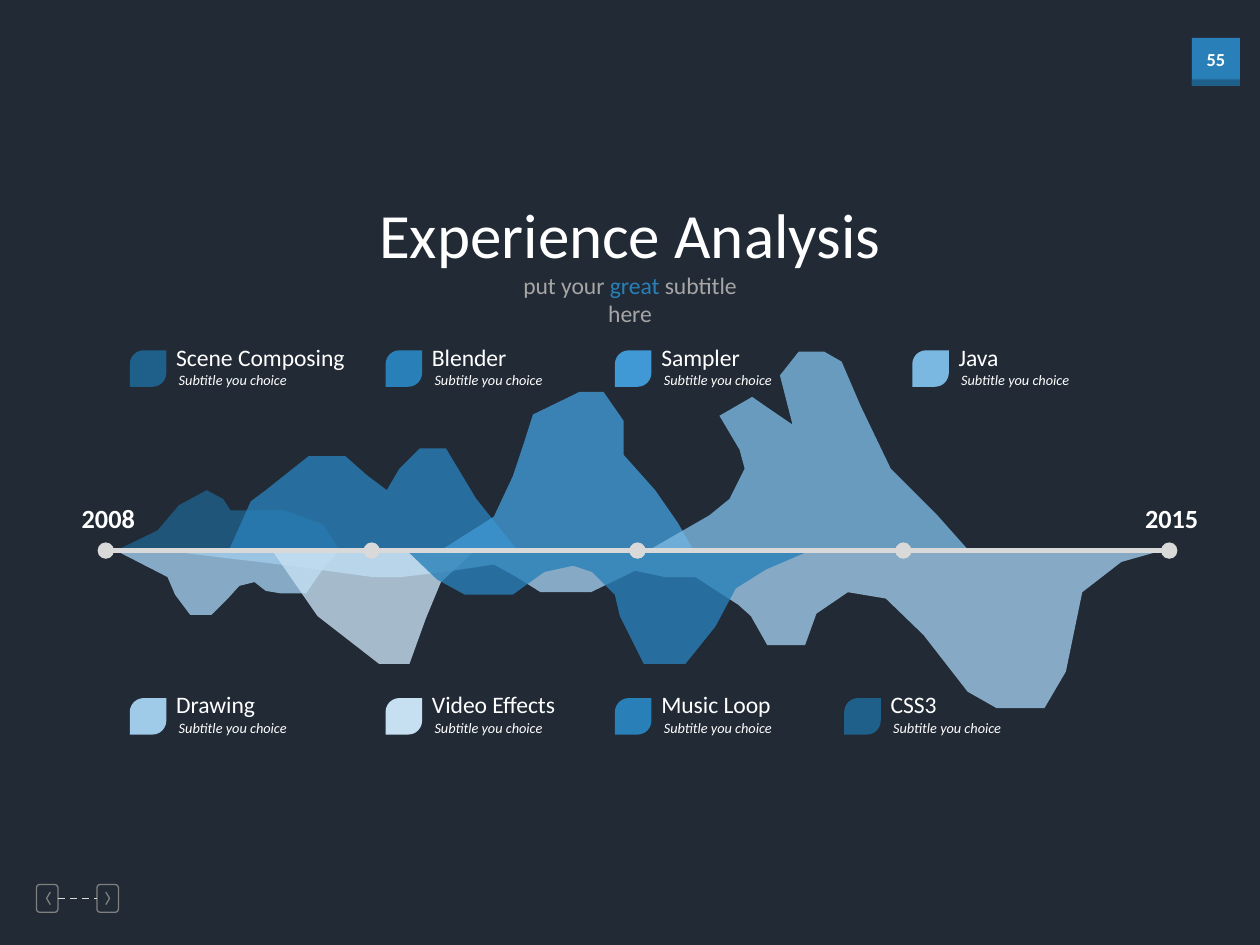
from lxml import etree
from pptx import Presentation
from pptx import util as u
from pptx.dml.color import RGBColor
from pptx.enum import dml, shapes, text
from pptx.oxml.ns import qn

COLORS = {
    "background": "222A35", "navy": "1F608B", "blue": "2980B9",
    "azure": "4098D4", "sky": "7BB8E1", "pale": "9FCBE9", "ice": "C6E0F2",
    "white": "FFFFFF", "silver": "D9D9D9", "muted": "A6A6A6", "gray": "808080",
}
Inches = u.Inches


def paint(shape, color, alpha=None):
    """Flat fill with no outline or shadow, optionally see-through."""
    shape.shadow.inherit = False
    shape.fill.solid()
    shape.fill.fore_color.rgb = RGBColor.from_string(COLORS[color])
    shape.line.fill.background()
    if alpha:
        rgb = shape._element.spPr.find(qn("a:solidFill")).find(qn("a:srgbClr"))
        etree.SubElement(rgb, qn("a:alpha")).set("val", str(alpha * 1000))


def write(box, place, spans, align="LEFT", **font_format):
    """Place a box and fill its one paragraph with (wording, color) spans."""
    box.left, box.top, box.width, box.height = map(Inches, place)
    frame = box.text_frame
    frame.word_wrap = True
    frame.auto_size = text.MSO_AUTO_SIZE.NONE
    frame.vertical_anchor = text.MSO_ANCHOR.TOP
    para = frame.paragraphs[0]
    para.alignment = getattr(text.PP_ALIGN, align)
    para.space_before = u.Pt(0)
    for wording, color in spans:
        span = para.add_run()
        span.text = wording
        span.font.color.rgb = RGBColor.from_string(COLORS[color])
        for name, value in {"name": "Calibri", **font_format}.items():
            setattr(span.font, name, value)


deck = Presentation()
deck.slide_width, deck.slide_height = Inches(10), Inches(7.5)
page = deck.slides.add_slide(deck.slide_layouts[0])
page.background.fill.solid()
page.background.fill.fore_color.rgb = RGBColor.from_string(COLORS["background"])
items = page.shapes

# Title and subtitle
write(page.placeholders[1], (3.9, 2.1, 2.2, 0.33),
      [("put your ", "muted"), ("great", "blue"), (" subtitle here", "muted")],
      "CENTER", size=u.Pt(13.5))
write(items.title, (2.8, 1.5, 4.4, 0.71), [("Experience Analysis", "white")],
      "CENTER", size=u.Pt(36))

# Page number badge
for top, height, color in [(0.3, 0.38, "blue"), (0.63, 0.05, "navy")]:
    badge = items.add_shape(shapes.MSO_SHAPE.RECTANGLE, Inches(9.46), Inches(top),
                            Inches(0.38), Inches(height))
    paint(badge, color)
write(items.add_textbox(0, 0, 0, 0), (9.46, 0.33, 0.38, 0.28), [("55", "white")],
      "CENTER", size=u.Pt(10.5), bold=True)

# Previous and next buttons
connectors = []
buttons = []
for left, base, tip in [(0.29, 0.4, 0.37), (0.77, 0.84, 0.87)]:
    button = items.add_shape(shapes.MSO_SHAPE.ROUNDED_RECTANGLE, Inches(left),
                             Inches(7.02), Inches(0.17), Inches(0.22))
    button.adjustments[0] = 0.15
    builder = items.build_freeform(Inches(base), Inches(7.08))
    builder.add_line_segments([(Inches(tip), Inches(7.13)),
                               (Inches(base), Inches(7.18))], close=False)
    for outline in (button, builder.convert_to_shape()):
        outline.shadow.inherit = False
        outline.fill.background()
        outline.line.color.rgb = RGBColor.from_string(COLORS["gray"])
        outline.line.width = u.Pt(0.75)
    buttons.append(button)
link = items.add_connector(shapes.MSO_CONNECTOR.STRAIGHT, 0, 0, 0, 0)
link.begin_connect(buttons[0], 3)
link.end_connect(buttons[1], 1)
link.line.dash_style = dml.MSO_LINE.DASH
connectors.append((link, 1))

# Experience areas below and above the timeline
areas = [
    ("pale", [(1.31, 4.37), (2.3, 4.49), (2.96, 4.58), (3.19, 4.58), (3.59, 4.53),
              (3.92, 4.48), (4.1, 4.58), (4.29, 4.7), (4.69, 4.7), (5.04, 4.53),
              (5.28, 4.58), (5.52, 4.58), (5.86, 4.8), (5.96, 4.89), (6.09, 5.12),
              (6.39, 5.12), (6.48, 4.87), (6.73, 4.7), (7.03, 4.75), (7.33, 5.04),
              (7.68, 5.49), (7.91, 5.62), (8.29, 5.62), (8.46, 5.33), (8.59, 4.7),
              (8.9, 4.46), (9.22, 4.37)]),
    ("pale", [(0.94, 4.38), (1.33, 4.58), (1.39, 4.72), (1.51, 4.88), (1.68, 4.88),
              (1.8, 4.76), (1.9, 4.65), (2.02, 4.62), (2.11, 4.69), (2.23, 4.71),
              (2.43, 4.71), (2.58, 4.49), (2.7, 4.37)]),
    ("ice", [(2.16, 4.37), (2.52, 4.89), (3.01, 5.27), (3.25, 5.27), (3.38, 4.91),
             (3.5, 4.62), (3.77, 4.37)]),
    ("blue", [(3.23, 4.37), (3.47, 4.6), (3.69, 4.72), (4.07, 4.72), (4.32, 4.54),
              (4.55, 4.49), (4.7, 4.54), (4.88, 4.72), (4.92, 4.89), (5.11, 5.27),
              (5.44, 5.27), (5.68, 4.97), (5.84, 4.67), (6.08, 4.52), (6.43, 4.37)]),
    ("navy", [(0.94, 4.36), (1.25, 4.21), (1.42, 4.01), (1.64, 3.89), (1.77, 3.96),
              (1.83, 4.05), (2.25, 4.05), (2.56, 4.16), (2.69, 4.36)]),
    ("blue", [(1.82, 4.36), (1.99, 3.98), (2.11, 3.89), (2.45, 3.62), (2.74, 3.62),
              (2.91, 3.77), (3.07, 3.89), (3.17, 3.72), (3.33, 3.56), (3.54, 3.56),
              (3.78, 3.96), (4.1, 4.36)]),
    ("azure", [(3.51, 4.36), (3.92, 4.1), (4.07, 3.78), (4.16, 3.51), (4.23, 3.29),
               (4.6, 3.11), (4.79, 3.11), (4.95, 3.34), (4.95, 3.61), (5.2, 3.89),
               (5.38, 4.15), (5.5, 4.36)]),
    ("sky", [(5.16, 4.36), (5.63, 4.09), (5.79, 3.96), (5.91, 3.72), (5.87, 3.57),
             (5.71, 3.3), (5.97, 3.15), (6.07, 3.22), (6.29, 3.37), (6.19, 2.98),
             (6.34, 2.79), (6.54, 2.79), (6.68, 2.87), (6.83, 3.22), (7.07, 3.72),
             (7.44, 4.09), (7.68, 4.36)]),
]
for color, points in areas:
    start, *rest = [(Inches(x), Inches(y)) for x, y in points]
    builder = items.build_freeform(*start)
    builder.add_line_segments(rest)
    paint(builder.convert_to_shape(), color, alpha=80)

# Timeline
DOT, STEP, FIRST, AXIS = 0.13, 2.11, 0.84, 4.37
for index in range(5):
    center = FIRST + index * STEP
    if index < 4:
        segment = items.add_connector(shapes.MSO_CONNECTOR.STRAIGHT, Inches(center),
                                      Inches(AXIS), Inches(center + STEP), Inches(AXIS))
        connectors.append((segment, 3))
    dot = items.add_shape(shapes.MSO_SHAPE.OVAL, Inches(center - DOT / 2),
                          Inches(AXIS - DOT / 2), Inches(DOT), Inches(DOT))
    paint(dot, "silver")
for connector, weight in connectors:
    connector.line.color.rgb = RGBColor.from_string(COLORS["silver"])
    connector.line.width = u.Pt(weight)
    etree.SubElement(connector._element.spPr, qn("a:effectLst"))
for left, year in [(0.55, "2008"), (8.99, "2015")]:
    write(items.add_textbox(0, 0, 0, 0), (left, 3.94, 0.68, 0.35), [(year, "white")],
          size=u.Pt(15), bold=True)

# Legend
legend = [
    (2.78, [(1.03, "Scene Composing", 1.56, "navy"), (3.06, "Blender", 0.81, "blue"),
            (4.88, "Sampler", 0.81, "azure"), (7.24, "Java", 0.52, "sky")]),
    (5.54, [(1.03, "Drawing", 0.95, "pale"), (3.06, "Video Effects", 1.14, "ice"),
            (4.88, "Music Loop", 1.07, "blue"), (6.7, "CSS3", 0.58, "navy")]),
]
for top, entries in legend:
    for left, skill, width, color in entries:
        leaf = items.add_shape(shapes.MSO_SHAPE.ROUND_2_DIAG_RECTANGLE, Inches(left),
                               Inches(top), Inches(0.29), Inches(0.29))
        leaf.adjustments[0] = 0.38
        paint(leaf, color)
        write(items.add_textbox(0, 0, 0, 0),
              (left + 0.27, top - 0.11, width + 0.05, 0.33),
              [(skill, "white")], size=u.Pt(13.5))
        write(items.add_textbox(0, 0, 0, 0), (left + 0.29, top + 0.12, 1.12, 0.24),
              [("Subtitle you choice", "white")], size=u.Pt(8.2), italic=True)

deck.save("out.pptx")
